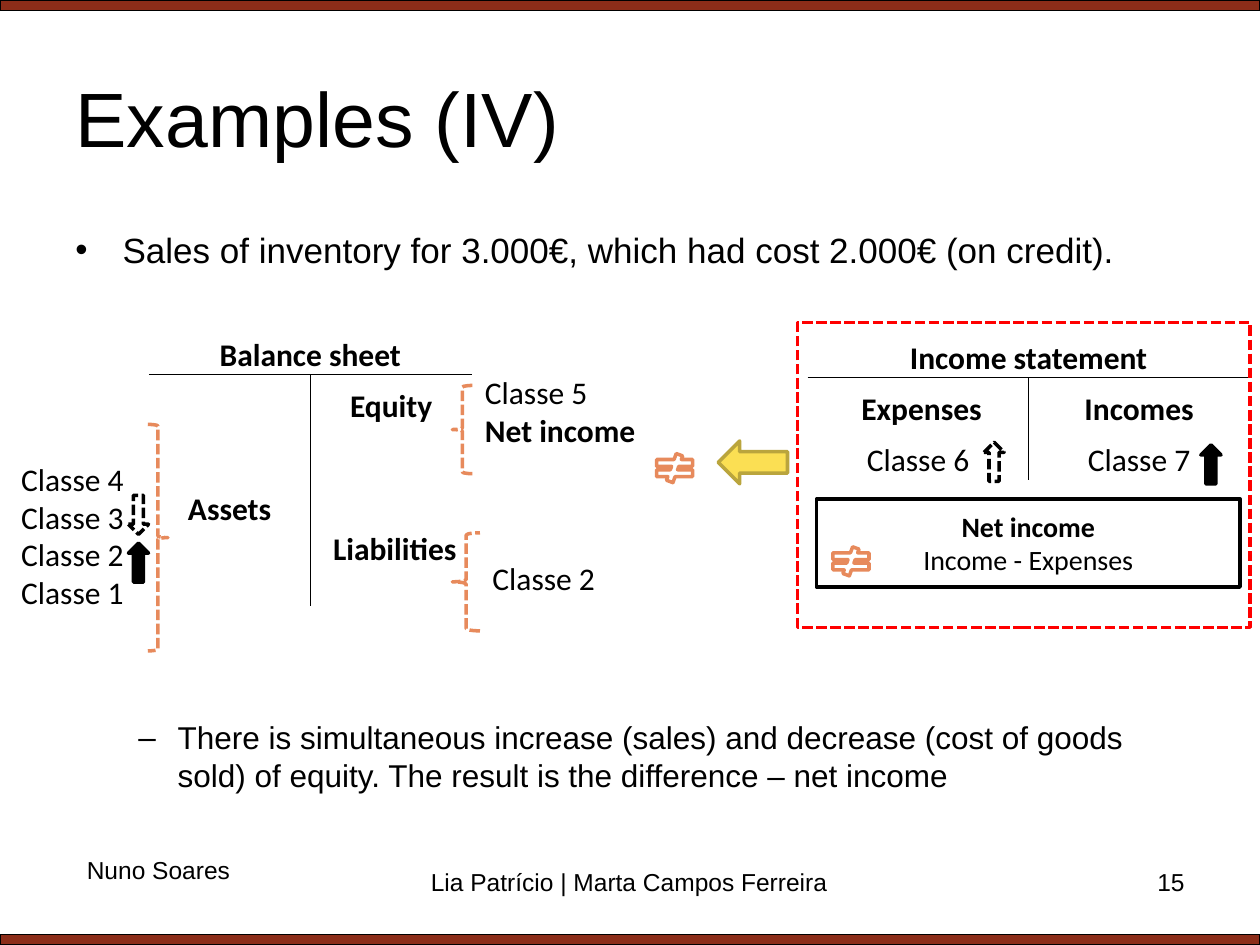
import pptx
import pptx.dml.color
import pptx.enum.dml
import pptx.enum.shapes
import pptx.enum.text
import pptx.oxml
import pptx.oxml.ns
import pptx.util

Pt = pptx.util.Pt
Geometry = pptx.enum.shapes.MSO_SHAPE
Align = pptx.enum.text.PP_ALIGN
Anchor = pptx.enum.text.MSO_ANCHOR
BLACK, WHITE, ORANGE = "000000", "FFFFFF", "E78A5C"


def color(value):
    return pptx.dml.color.RGBColor.from_string(value)


class SlideBuilder:
    """Holds the style and the slide, and adds one kind of element per method."""

    sans, table_font = "Arial", "Calibri"

    def __init__(self, presentation):
        self.slide = presentation.slides.add_slide(presentation.slide_layouts[5])

    def style_paragraph(self, paragraph, size, font, bold=False, align=Align.LEFT):
        paragraph.alignment = align
        for run in paragraph.runs:
            run.font.size = Pt(size)
            run.font.name = font
            run.font.bold = bold
            run.font.color.rgb = color(BLACK)

    def fill_frame(self, frame, lines, size, font, align=Align.LEFT, bold_line=None):
        frame.text = "\n".join(lines)
        for index, paragraph in enumerate(frame.paragraphs):
            self.style_paragraph(paragraph, size, font, index == bold_line, align)

    def title(self, text, box):
        shape = self.slide.shapes.title
        shape.left, shape.top, shape.width, shape.height = map(Pt, box)
        shape.text_frame.vertical_anchor = Anchor.MIDDLE
        self.fill_frame(shape.text_frame, [text], 44, self.sans)

    def text(self, lines, box, size, font, align=Align.LEFT, bold_line=None, wrap=False):
        shape = self.slide.shapes.add_textbox(*map(Pt, box))
        shape.text_frame.word_wrap = wrap
        self.fill_frame(shape.text_frame, lines, size, font, align, bold_line)
        return shape

    def bullet(self, text, box, size, mark, margin, hanging):
        shape = self.text([text], box, size, self.sans, wrap=True)
        properties = shape.text_frame.paragraphs[0]._p.get_or_add_pPr()
        properties.set("marL", str(Pt(margin)))
        properties.set("indent", str(-Pt(hanging)))
        namespace = pptx.oxml.ns.nsdecls("a")
        properties.append(pptx.oxml.parse_xml(f'<a:buFont {namespace} typeface="{self.sans}"/>'))
        properties.append(pptx.oxml.parse_xml(f'<a:buChar {namespace} char="{mark}"/>'))

    def shape(self, geometry, box, fill=None, line=BLACK, width=2, dashed=False):
        shape = self.slide.shapes.add_shape(geometry, *map(Pt, box))
        shape.shadow.inherit = False
        if fill:
            shape.fill.solid()
            shape.fill.fore_color.rgb = color(fill)
        else:
            shape.fill.background()
        shape.line.color.rgb = color(line)
        shape.line.width = Pt(width)
        if dashed:
            shape.line.dash_style = pptx.enum.dml.MSO_LINE.SQUARE_DOT
        return shape

    def borders(self, cell, sides):
        properties = cell._tc.get_or_add_tcPr()
        namespace = pptx.oxml.ns.nsdecls("a")
        for index, side in enumerate("LRTB"):
            paint = f'<a:solidFill><a:srgbClr val="{BLACK}"/></a:solidFill>' if side in sides else "<a:noFill/>"
            line = f'<a:ln{side} {namespace} w="{Pt(0.5)}">{paint}</a:ln{side}>'
            properties.insert(index, pptx.oxml.parse_xml(line))

    def account(self, left, top, column_width, row_heights, texts, plain_rows=()):
        box = (left, top, 2 * column_width, sum(row_heights))
        table = self.slide.shapes.add_table(len(texts), 2, *map(Pt, box)).table
        table.first_row = table.horz_banding = False
        for column in table.columns:
            column.width = Pt(column_width)
        for row_index, height in enumerate(row_heights):
            table.rows[row_index].height = Pt(height)
            for column_index, text in enumerate(texts[row_index]):
                cell = table.cell(row_index, column_index)
                cell.fill.background()
                cell.margin_left = cell.margin_right = cell.margin_top = Pt(0.7)
                cell.margin_bottom = 0
                cell.vertical_anchor = Anchor.BOTTOM
                cell.text_frame.text = text
                self.style_paragraph(cell.text_frame.paragraphs[0], 18, self.table_font,
                                     row_index not in plain_rows, Align.CENTER)
                inner = "RL"[column_index]
                self.borders(cell, "B" if row_index == 0 else inner + "T" * (row_index == 1))
        table.cell(0, 0).merge(table.cell(0, 1))
        return table


presentation = pptx.Presentation()
presentation.slide_width, presentation.slide_height = Pt(720), Pt(540)
builder = SlideBuilder(presentation)

for bar_top in (0, 534):
    builder.shape(Geometry.RECTANGLE, (0, bar_top, 720, 6), "8C2D19", width=0.75)
builder.title("Examples (IV)", (36, 21.6, 648, 90))
builder.bullet("Sales of inventory for 3.000€, which had cost 2.000€ (on credit).",
               (36, 127, 648, 32), 20, "•", 27, 27)
builder.bullet("There is simultaneous increase (sales) and decrease (cost of goods sold) of equity. "
               "The result is the difference – net income", (36, 407, 648, 50), 18, "–", 58.5, 22.5)

balance_sheet = builder.account(85, 184.5, 92.4, [29.5] * 4 + [44], [
    ("Balance sheet", ""), ("", "Equity"), ("", ""), ("Assets", ""), ("", "\u00a0Liabilities")])
balance_sheet.cell(4, 1).vertical_anchor = Anchor.TOP
builder.account(461.5, 186.5, 126.3, [29.3] * 3, [
    ("Income statement", ""), ("\u00a0Expenses", "Incomes"), ("Classe 6", "Classe 7")], plain_rows=(2,))

for geometry, box in (
    (Geometry.RIGHT_BRACE, (84.5, 242.5, 11.5, 129.5)),
    (Geometry.LEFT_BRACE, (258.5, 304.5, 15.8, 56)),
    (Geometry.LEFT_BRACE, (258.5, 220.3, 11.5, 50.4)),
):
    builder.shape(geometry, box, WHITE, ORANGE, dashed=True)

for lines, box, bold_line in (
    ([f"Classe {number}" for number in (4, 3, 2, 1)], (5, 259.2, 73.4, 94.3), None),
    (["Classe 2"], (274.3, 316, 73.4, 29), None),
    (["Classe 5", "Net income"], (270, 209.5, 101.5, 51), 1),
):
    builder.text(lines, box, 18, builder.table_font, bold_line=bold_line)

net_income = builder.shape(Geometry.RECTANGLE, (466.6, 285.1, 242, 50.4))
net_income.text_frame.vertical_anchor = Anchor.MIDDLE
builder.fill_frame(net_income.text_frame, ["Net income", "Income - Expenses"], 16,
                   builder.table_font, Align.CENTER, bold_line=0)
builder.shape(Geometry.RECTANGLE, (455.8, 184.3, 258.5, 174.2), line="FF0000", dashed=True)
builder.shape(Geometry.LEFT_ARROW, (410.4, 252, 39.6, 24.5), "FBDF53", "BAA53D")

for geometry, left, top, solid in (
    (Geometry.DOWN_ARROW, 73.4, 283, False),
    (Geometry.UP_ARROW, 686.2, 254.2, True),
    (Geometry.UP_ARROW, 562.3, 252.7, False),
    (Geometry.UP_ARROW, 73.4, 310.3, True),
):
    builder.shape(geometry, (left, top, 11.5, 22.3), BLACK if solid else None, dashed=not solid)
for left, top in ((472.3, 312.5), (371.5, 259.2)):
    builder.shape(Geometry.MATH_NOT_EQUAL, (left, top, 28, 16.6), WHITE, ORANGE)

for text, box, align, wrap in (
    ("Nuno Soares", (42.5, 485.3, 97.2, 24.5), Align.LEFT, False),
    ("Lia Patrício | Marta Campos Ferreira", (234.7, 491.8, 249.8, 37.4), Align.CENTER, True),
    ("15", (516.2, 491.8, 167.8, 37.4), Align.RIGHT, True),
):
    builder.text([text], box, 14, builder.sans, align, wrap=wrap)

presentation.save("out.pptx")
